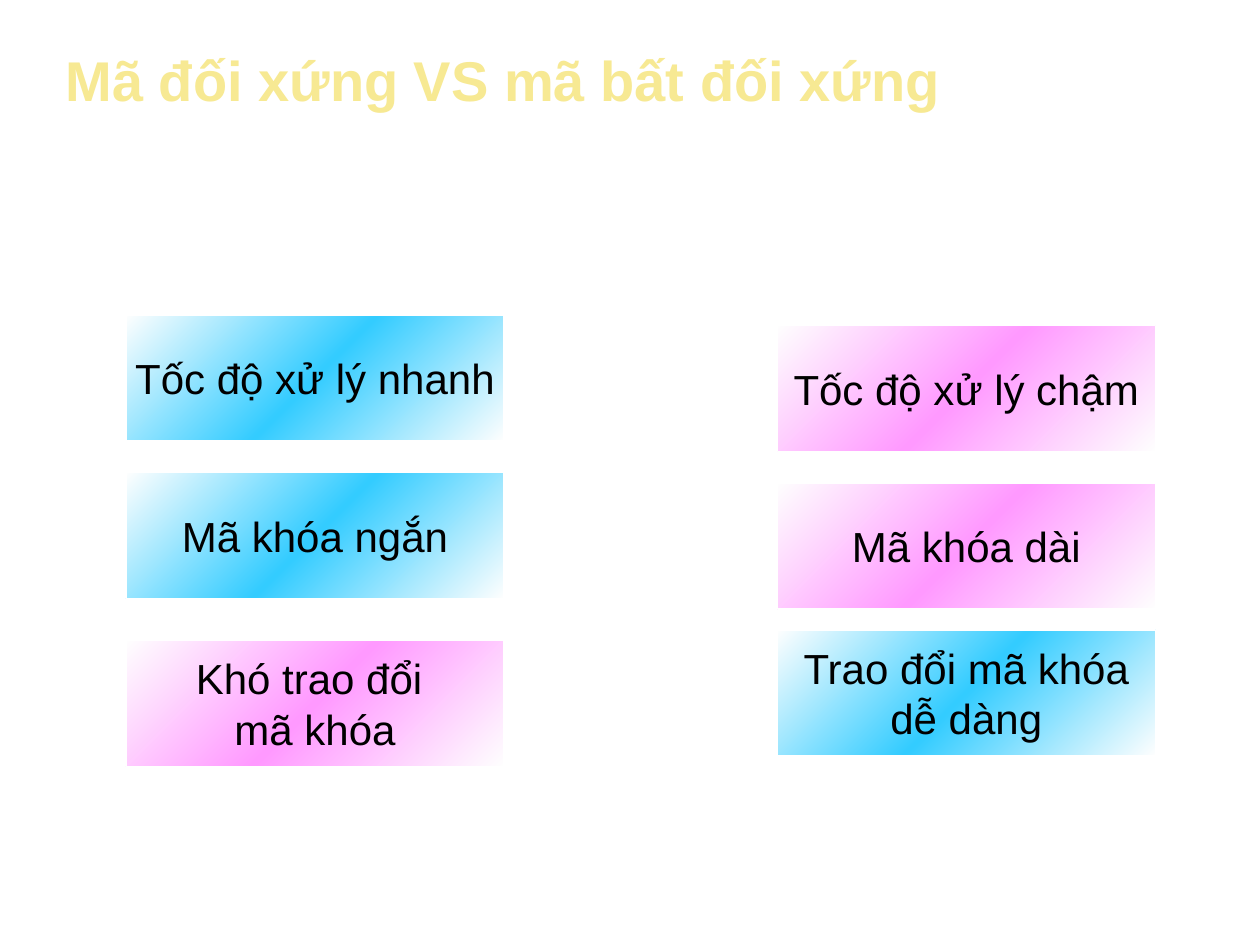
from copy import deepcopy
from dataclasses import dataclass

from lxml.etree import SubElement
from pptx import Presentation
from pptx.dml.color import RGBColor as RGB
from pptx.enum.shapes import MSO_SHAPE as Shape
from pptx.enum.text import MSO_ANCHOR as Anchor, MSO_AUTO_SIZE as AutoSize, PP_ALIGN as Align
from pptx.oxml import parse_xml
from pptx.oxml.ns import nsdecls, qn
from pptx.util import Cm, Pt


@dataclass(frozen=True)
class Theme:
    font: str = "Arial"
    title_size: int = 32
    box_size: int = 24
    title: RGB = RGB(0xF7, 0xE9, 0x93)
    text: RGB = RGB(0, 0, 0)
    edge: RGB = RGB(0xFE, 0xFE, 0xFE)
    line: RGB = RGB(0xFF, 0xFF, 0xFF)
    strength: RGB = RGB(0x33, 0xCC, 0xFF)
    weakness: RGB = RGB(0xFF, 0x99, 0xFF)


@dataclass(frozen=True)
class Trait:
    text: str
    left: float
    top: float
    color: RGB


THEME = Theme()
BOX_W, BOX_H = 7.62, 2.54
SYMMETRIC_X, ASYMMETRIC_X = 2.54, 15.67
TRAITS = [
    Trait("Tốc độ xử lý nhanh", SYMMETRIC_X, 6.35, THEME.strength),
    Trait("Mã khóa ngắn", SYMMETRIC_X, 9.53, THEME.strength),
    Trait("Khó trao đổi \nmã khóa", SYMMETRIC_X, 12.91, THEME.weakness),
    Trait("Tốc độ xử lý chậm", ASYMMETRIC_X, 6.56, THEME.weakness),
    Trait("Mã khóa dài", ASYMMETRIC_X, 9.74, THEME.weakness),
    Trait("Trao đổi mã khóa\ndễ dàng", ASYMMETRIC_X, 12.7, THEME.strength),
]


def format_run(r, size: int, color: RGB, bold: bool = False) -> None:
    r.font.name = THEME.font
    r.font.size = Pt(size)
    r.font.bold = bold
    r.font.color.rgb = color


def add_text_shadow(r) -> None:
    effects = parse_xml(f"<a:effectLst {nsdecls('a')}/>")
    shadow = SubElement(effects, qn("a:outerShdw"), dist="35921", dir="2700000", algn="ctr")
    SubElement(shadow, qn("a:srgbClr"), val="000000")
    r.font._element.find(qn("a:solidFill")).addnext(effects)


def fill_with_band(sp, color: RGB) -> None:
    """Diagonal gradient: pale corners with a coloured band in the middle."""
    sp.fill.gradient()
    sp.fill.gradient_angle = 135
    first = sp.fill._xPr.find(qn("a:gradFill")).find(qn("a:gsLst"))[0]
    first.addnext(deepcopy(first))
    colors = (THEME.edge, color, THEME.edge)
    for stop, position, rgb in zip(sp.fill.gradient_stops, (0, 0.5, 1), colors):
        stop.position = position
        stop.color.rgb = rgb


def set_title(sp, text: str) -> None:
    sp.left, sp.top, sp.width, sp.height = Cm(1.07), Cm(0.94), Cm(23.27), Cm(1.47)
    tf = sp.text_frame
    tf.text = text
    tf.vertical_anchor = Anchor.MIDDLE
    tf.auto_size = AutoSize.SHAPE_TO_FIT_TEXT
    p = tf.paragraphs[0]
    p.alignment = Align.LEFT
    p.line_spacing = 0.9
    r = p.runs[0]
    format_run(r, THEME.title_size, THEME.title, bold=True)
    add_text_shadow(r)


def add_trait(slide, trait: Trait) -> None:
    sp = slide.shapes.add_shape(
        Shape.RECTANGLE, Cm(trait.left), Cm(trait.top), Cm(BOX_W), Cm(BOX_H))
    sp.shadow.inherit = False
    fill_with_band(sp, trait.color)
    sp.line.color.rgb = THEME.line
    sp.line.width = Pt(0.75)
    tf = sp.text_frame
    tf.text = trait.text
    tf.word_wrap = False
    tf.vertical_anchor = Anchor.MIDDLE
    for p in tf.paragraphs:
        p.alignment = Align.CENTER
        format_run(p.runs[0], THEME.box_size, THEME.text)


def main() -> None:
    prs = Presentation()
    prs.slide_width, prs.slide_height = Cm(25.4), Cm(19.05)
    slide = prs.slides.add_slide(prs.slide_layouts[5])

    # Title
    set_title(slide.shapes.title, "Mã đối xứng VS mã bất đối xứng")

    # Traits of both kinds of cipher
    for trait in TRAITS:
        add_trait(slide, trait)

    prs.save("out.pptx")


if __name__ == "__main__":
    main()
